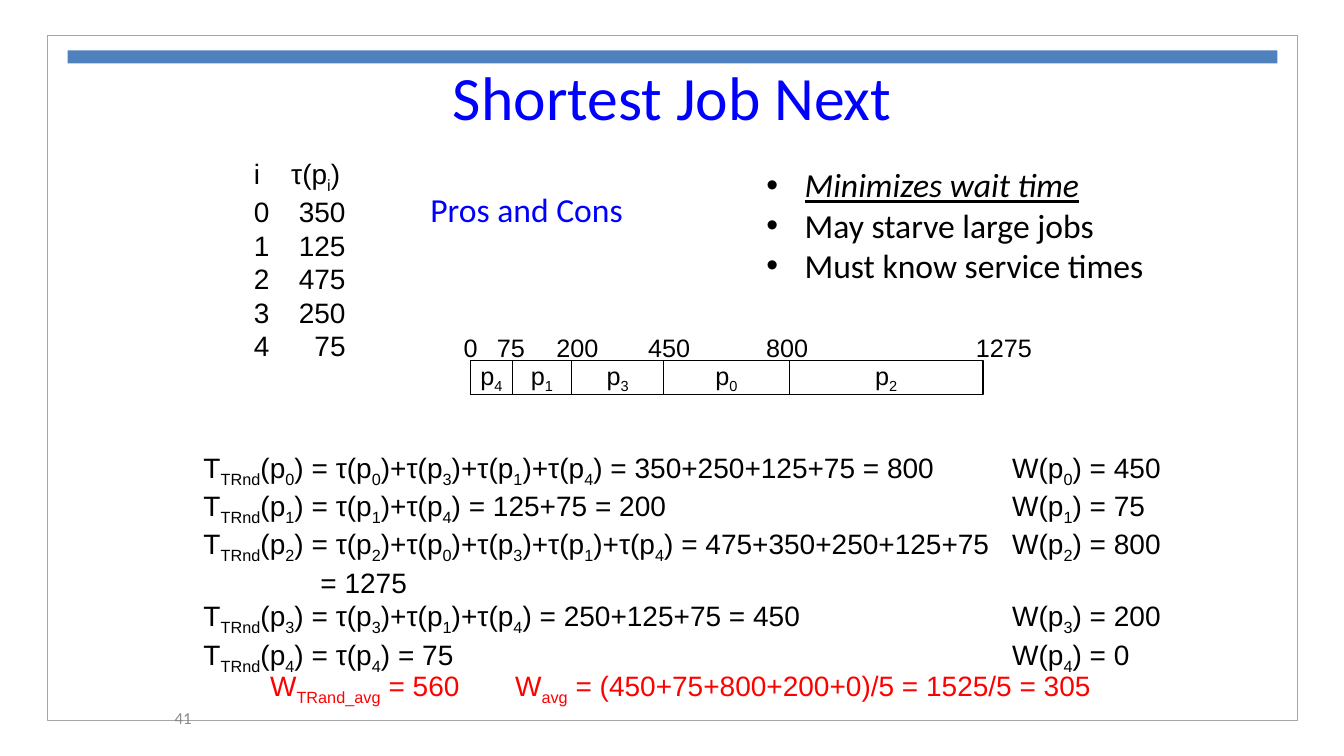
from dataclasses import dataclass
from lxml.etree import SubElement
from pptx import Presentation
from pptx.dml.color import RGBColor
from pptx.enum.shapes import MSO_SHAPE
from pptx.enum.text import MSO_ANCHOR, MSO_AUTO_SIZE, PP_ALIGN
from pptx.oxml.ns import qn
from pptx.util import Pt

TITLE = "Shortest Job Next"
SERVICE_TIMES = ["i\tτ(p{i})", "0\t350", "1\t125", "2\t475", "3\t250", "4\t75"]
PROS_AND_CONS = "Pros and Cons"
POINTS = ["Minimizes wait time", "May starve large jobs", "Must know service times"]
SCHEDULE = [("p{4}", 467, 508), ("p{1}", 508, 567), ("p{3}", 567, 658),
            ("p{0}", 658, 783), ("p{2}", 783, 975)]
TIME_MARKS = [("0", 450), ("75", 483), ("200", 542), ("450", 633), ("800", 750), ("1275", 958)]
TURNAROUNDS = [
    "T{TRnd}(p{0}) = τ(p{0})+τ(p{3})+τ(p{1})+τ(p{4}) = 350+250+125+75 = 800",
    "T{TRnd}(p{1}) = τ(p{1})+τ(p{4}) = 125+75 = 200",
    "T{TRnd}(p{2}) = τ(p{2})+τ(p{0})+τ(p{3})+τ(p{1})+τ(p{4}) = 475+350+250+125+75",
    "= 1275",
    "T{TRnd}(p{3}) = τ(p{3})+τ(p{1})+τ(p{4}) = 250+125+75 = 450",
    "T{TRnd}(p{4}) = τ(p{4}) = 75",
]
WAITS = ["W(p{0}) = 450", "W(p{1}) = 75", "W(p{2}) = 800", "W(p{3}) = 200", "W(p{4}) = 0"]
AVERAGES = [("W{TRand_avg} = 560", (258, 658, 221, 44)),
            ("W{avg} = (450+75+800+200+0)/5 = 1525/5 = 305", (501, 658, 598, 44))]
PAGE_NUMBER = "41"


@dataclass(frozen=True)
class Theme:
    ink: str = "000000"
    paper: str = "FFFFFF"
    heading: str = "0000FF"
    result: str = "FF0000"
    bar: str = "4F81BD"
    frame: str = "A6A6A6"
    muted: str = "898989"
    title_size: int = 44
    list_size: int = 24
    formula_size: int = 20
    chart_size: int = 18
    number_size: int = 12
    formula_font: str = "Arial"
    prose_font: str = "Calibri"


THEME = Theme()


def px(length):
    return length * 9144


def place(shape, area):
    shape.left, shape.top, shape.width, shape.height = map(px, area)


def style(span, size, font, color):
    span.font.size = Pt(size)
    span.font.name = font
    span.font.color.rgb = RGBColor.from_string(color)


def write(frame, lines, size, font=THEME.formula_font, color=THEME.ink, align=None):
    for index, line in enumerate(lines):
        para = frame.paragraphs[0] if index == 0 else frame.add_paragraph()
        para.alignment = align
        for part, text in enumerate(line.replace("}", "{").split("{")):
            if text:
                span = para.add_run()
                span.text = text
                style(span, size, font, color)
                if part % 2:
                    span._r.get_or_add_rPr().set("baseline", "-25000")


def add_text(page, area, lines, size, wrap=False, **look):
    box = page.shapes.add_textbox(*map(px, area))
    box.text_frame.word_wrap = wrap
    write(box.text_frame, lines, size, **look)
    return box.text_frame


def add_box(page, area, fill=None, line=None, weight=1):
    box = page.shapes.add_shape(MSO_SHAPE.RECTANGLE, *map(px, area))
    box.shadow.inherit = False
    if fill:
        box.fill.solid()
        box.fill.fore_color.rgb = RGBColor.from_string(fill)
    else:
        box.fill.background()
    if line:
        box.line.color.rgb = RGBColor.from_string(line)
        box.line.width = Pt(weight)
    else:
        box.line.fill.background()
    return box


def fill_placeholder(box, area, text, size, color):
    place(box, area)
    frame = box.text_frame
    frame.text = text
    frame.auto_size = MSO_AUTO_SIZE.NONE
    for para in frame.paragraphs:
        para.space_before = Pt(0)
        for span in para.runs:
            style(span, size, THEME.prose_font, color)
    return frame


def add_headings(page):
    add_box(page, (47, 35, 1240, 680), line=THEME.frame)
    add_box(page, (67, 50, 1200, 13), fill=THEME.bar)
    title = fill_placeholder(page.shapes.title, (242, 58, 850, 75), TITLE,
                             THEME.title_size, THEME.heading)
    title.vertical_anchor = MSO_ANCHOR.MIDDLE
    title.paragraphs[0].alignment = PP_ALIGN.CENTER
    points = fill_placeholder(page.placeholders[1], (750, 158, 396, 131), "\n".join(POINTS),
                              THEME.list_size, THEME.ink)
    for para in points.paragraphs:
        settings = para._p.get_or_add_pPr()
        settings.set("marL", str(px(38)))
        settings.set("indent", str(-px(38)))
        SubElement(settings, qn("a:buFont"), typeface="Arial")
        SubElement(settings, qn("a:buChar"), char="•")
    emphasis = points.paragraphs[0].runs[0].font
    emphasis.italic = emphasis.underline = True
    add_text(page, (417, 183, 300, 50), [PROS_AND_CONS], THEME.list_size, wrap=True,
             font=THEME.prose_font, color=THEME.heading)
    number = add_text(page, (56, 692, 144, 40), [PAGE_NUMBER], THEME.number_size, wrap=True,
                      font=THEME.prose_font, color=THEME.muted, align=PP_ALIGN.RIGHT)
    number.vertical_anchor = MSO_ANCHOR.MIDDLE


def add_service_times(page):
    frame = add_text(page, (242, 150, 113, 212), SERVICE_TIMES, THEME.formula_size, wrap=True)
    for index, para in enumerate(frame.paragraphs):
        position, side = (91, "r") if index else (37, "l")
        tabs = SubElement(para._p.get_or_add_pPr(), qn("a:tabLst"))
        SubElement(tabs, qn("a:tab"), pos=str(px(position)), algn=side)


def add_schedule(page):
    for process, start, end in SCHEDULE:
        box = add_box(page, (start, 358, end - start, 33), THEME.paper, THEME.ink, 0.75)
        box.text_frame.word_wrap = False
        box.text_frame.vertical_anchor = MSO_ANCHOR.MIDDLE
        write(box.text_frame, [process], THEME.chart_size, align=PP_ALIGN.CENTER)
    for mark, left in TIME_MARKS:
        add_text(page, (left, 325, 20 + 14 * len(mark), 40), [mark], THEME.chart_size)


def add_formulas(page):
    turnarounds = add_text(page, (192, 442, 824, 212), TURNAROUNDS, THEME.formula_size)
    turnarounds.paragraphs[3]._p.get_or_add_pPr().set("marL", str(px(116)))
    waits = add_text(page, (994, 442, 170, 212), WAITS, THEME.formula_size)
    waits.paragraphs[3].space_before = Pt(24)
    for average, area in AVERAGES:
        add_text(page, area, [average], THEME.formula_size, color=THEME.result)


def main():
    deck = Presentation()
    deck.slide_width, deck.slide_height = px(1333), px(750)
    page = deck.slides.add_slide(deck.slide_layouts[1])
    add_headings(page)
    add_service_times(page)
    add_schedule(page)
    add_formulas(page)
    deck.save("out.pptx")


if __name__ == "__main__":
    main()
